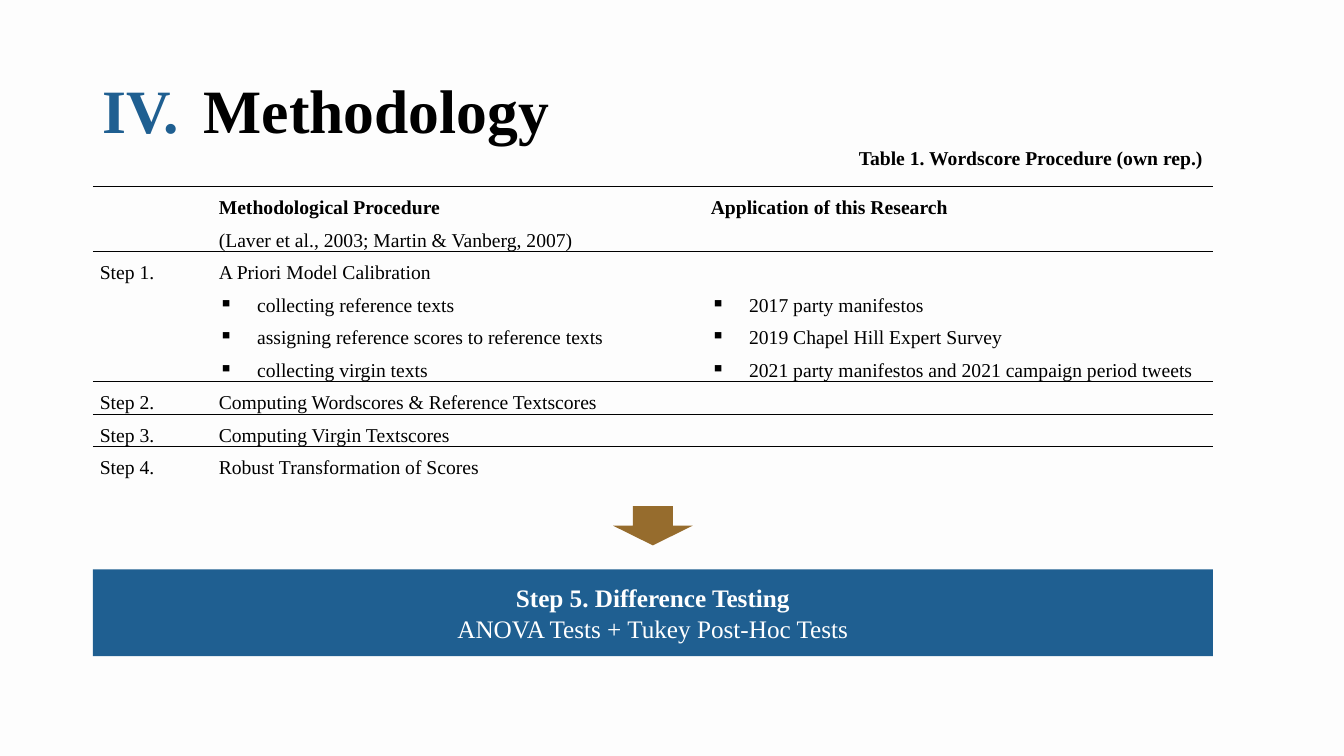
import dataclasses
import lxml.etree
import pptx
import pptx.dml.color
import pptx.enum.shapes
import pptx.enum.text
import pptx.oxml.ns
import pptx.util

Inches = pptx.util.Inches
Pt = pptx.util.Pt
RGB = pptx.dml.color.RGBColor
ALIGN = pptx.enum.text.PP_ALIGN
ANCHOR = pptx.enum.text.MSO_ANCHOR
SHAPE = pptx.enum.shapes.MSO_SHAPE


@dataclasses.dataclass(frozen=True)
class Theme:
    """Colours, font and type sizes of the slide."""
    font: str = "Times New Roman"
    background: RGB = RGB(0xFD, 0xFD, 0xFD)
    blue: RGB = RGB(0x1F, 0x5F, 0x91)
    gold: RGB = RGB(0x96, 0x6C, 0x2D)
    black: RGB = RGB(0, 0, 0)
    white: RGB = RGB(255, 255, 255)
    title: int = 44
    banner: int = 18
    body: int = 14


THEME = Theme()
LEFT, WIDTH = 0.92, 11.11
LINE_HEIGHT = 0.32
BULLET_INDENT = 0.38
COLUMN_WIDTHS = (1.18, 4.88, 5.05)
BULLET = "\u25aa "

# Each row holds three cells, and each cell a list of paragraphs.
ROWS = (
    ([], ["Methodological Procedure",
          "(Laver et al., 2003; Martin & Vanberg, 2007)"],
     ["Application of this Research"]),
    (["Step 1."],
     ["A Priori Model Calibration",
      BULLET + "collecting reference texts",
      BULLET + "assigning reference scores to reference texts",
      BULLET + "collecting virgin texts"],
     [BULLET + "2017 party manifestos",
      BULLET + "2019 Chapel Hill Expert Survey",
      BULLET + "2021 party manifestos and 2021 campaign period tweets"]),
    (["Step 2."], ["Computing Wordscores & Reference Textscores"], []),
    (["Step 3."], ["Computing Virgin Textscores"], []),
    (["Step 4."], ["Robust Transformation of Scores"], []),
)


def add_child(parent, tag, **attributes):
    """Append a DrawingML element and return it."""
    return lxml.etree.SubElement(parent, pptx.oxml.ns.qn(tag), **attributes)


def set_font(font, size, color, bold=False):
    """Apply the theme font with a size, colour and weight."""
    font.name, font.size, font.bold = THEME.font, Pt(size), bold
    font.color.rgb = color


def fill_text(tf, lines, size, color, bold_lines=0, align=ALIGN.LEFT):
    """Write paragraphs, the first bold_lines of them in bold."""
    for i, line in enumerate(lines):
        p = tf.paragraphs[0] if i == 0 else tf.add_paragraph()
        p.text, p.alignment = line, align
        set_font(p.font, size, color, i < bold_lines)


def add_bullet(p):
    """Give a paragraph a square bullet and a hanging indent."""
    pPr = p._p.get_or_add_pPr()
    indent = Inches(BULLET_INDENT)
    pPr.set("marL", str(indent))
    pPr.set("indent", str(-indent))
    bullet = add_child(pPr, "a:buChar", char=BULLET.strip())
    pPr.insert(0, bullet)


def set_borders(cell, ruled):
    """Draw black rules on the named sides and clear the others."""
    tcPr = cell._tc.get_or_add_tcPr()
    for side in "LRTB":
        ln = add_child(tcPr, "a:ln" + side, w=str(Pt(1)))
        if side in ruled:
            fill = add_child(ln, "a:solidFill")
            add_child(fill, "a:srgbClr", val=str(THEME.black))
        else:
            add_child(ln, "a:noFill")


def fill_cell(cell, lines, header, ruled):
    """Format one table cell and write its paragraphs."""
    set_borders(cell, ruled)
    cell.fill.background()
    cell.margin_left = cell.margin_right = Inches(0.07)
    cell.margin_top = cell.margin_bottom = 0
    tf = cell.text_frame
    fill_text(tf, [line.removeprefix(BULLET) for line in lines] or [""],
              THEME.body, THEME.black, int(header))
    for p, line in zip(tf.paragraphs, lines):
        p.line_spacing = 1.5
        if line.startswith(BULLET):
            add_bullet(p)
            p._p.pPr.insert(0, p._p.pPr.find(pptx.oxml.ns.qn("a:lnSpc")))
    # A purely bulleted cell lines up with the bullets beside it.
    if lines and lines[0].startswith(BULLET):
        cell.vertical_anchor = ANCHOR.BOTTOM


def add_procedure_table(s):
    """Add the table of steps, with horizontal rules only."""
    counts = [max(map(len, row)) for row in ROWS]
    frame = s.shapes.add_table(
        len(ROWS), len(COLUMN_WIDTHS), Inches(LEFT), Inches(1.85),
        Inches(WIDTH), Inches(LINE_HEIGHT * sum(counts)))
    table = frame.table
    table.first_row = table.horz_banding = False
    for column, width in zip(table.columns, COLUMN_WIDTHS):
        column.width = Inches(width)
    for r, row in enumerate(ROWS):
        table.rows[r].height = Inches(LINE_HEIGHT * counts[r])
        ruled = "T" if r == len(ROWS) - 1 else "TB"
        for c, lines in enumerate(row):
            fill_cell(table.cell(r, c), lines, r == 0, ruled)


def add_title(s, number, text):
    """Place the title with its coloured section number."""
    title = s.shapes.title
    title.left, title.top = Inches(LEFT), Inches(0.4)
    title.width, title.height = Inches(11.5), Inches(1.45)
    tf = title.text_frame
    tf.auto_size = pptx.enum.text.MSO_AUTO_SIZE.NONE
    tf.vertical_anchor = ANCHOR.MIDDLE
    p = tf.paragraphs[0]
    p.alignment, p.line_spacing = ALIGN.LEFT, 0.9
    for part, color in ((number, THEME.blue), ("\t" + text, THEME.black)):
        r = p.add_run()
        r.text = part
        set_font(r.font, THEME.title, color, True)


def add_caption(s, text):
    """Add the right-aligned table caption."""
    sp = s.shapes.add_textbox(Inches(8.17), Inches(1.4),
                              Inches(3.86), Inches(0.34))
    sp.text_frame.word_wrap = True
    fill_text(sp.text_frame, [text], THEME.body, THEME.black, 1, ALIGN.RIGHT)


def add_block(s, kind, left, top, width, height, color):
    """Add a flat filled shape without outline or shadow."""
    sp = s.shapes.add_shape(kind, Inches(left), Inches(top),
                            Inches(width), Inches(height))
    sp.shadow.inherit = False
    sp.fill.solid()
    sp.fill.fore_color.rgb = color
    sp.line.fill.background()
    return sp


def main():
    """Build the slide and save it."""
    prs = pptx.Presentation()
    prs.slide_width, prs.slide_height = Inches(13.33), Inches(7.5)
    s = prs.slides.add_slide(prs.slide_layouts.get_by_name("Title Only"))
    s.background.fill.solid()
    s.background.fill.fore_color.rgb = THEME.background

    add_title(s, "IV.", "Methodology")
    add_procedure_table(s)
    banner = add_block(s, SHAPE.RECTANGLE, LEFT, 5.65, WIDTH, 0.86, THEME.blue)
    banner.text_frame.vertical_anchor = ANCHOR.MIDDLE
    fill_text(banner.text_frame,
              ["Step 5. Difference Testing",
               "ANOVA Tests + Tukey Post-Hoc Tests"],
              THEME.banner, THEME.white, 1, ALIGN.CENTER)
    add_block(s, SHAPE.DOWN_ARROW, 6.08, 5.02, 0.79, 0.39, THEME.gold)
    add_caption(s, "Table 1. Wordscore Procedure (own rep.)")
    prs.save("out.pptx")


main()
